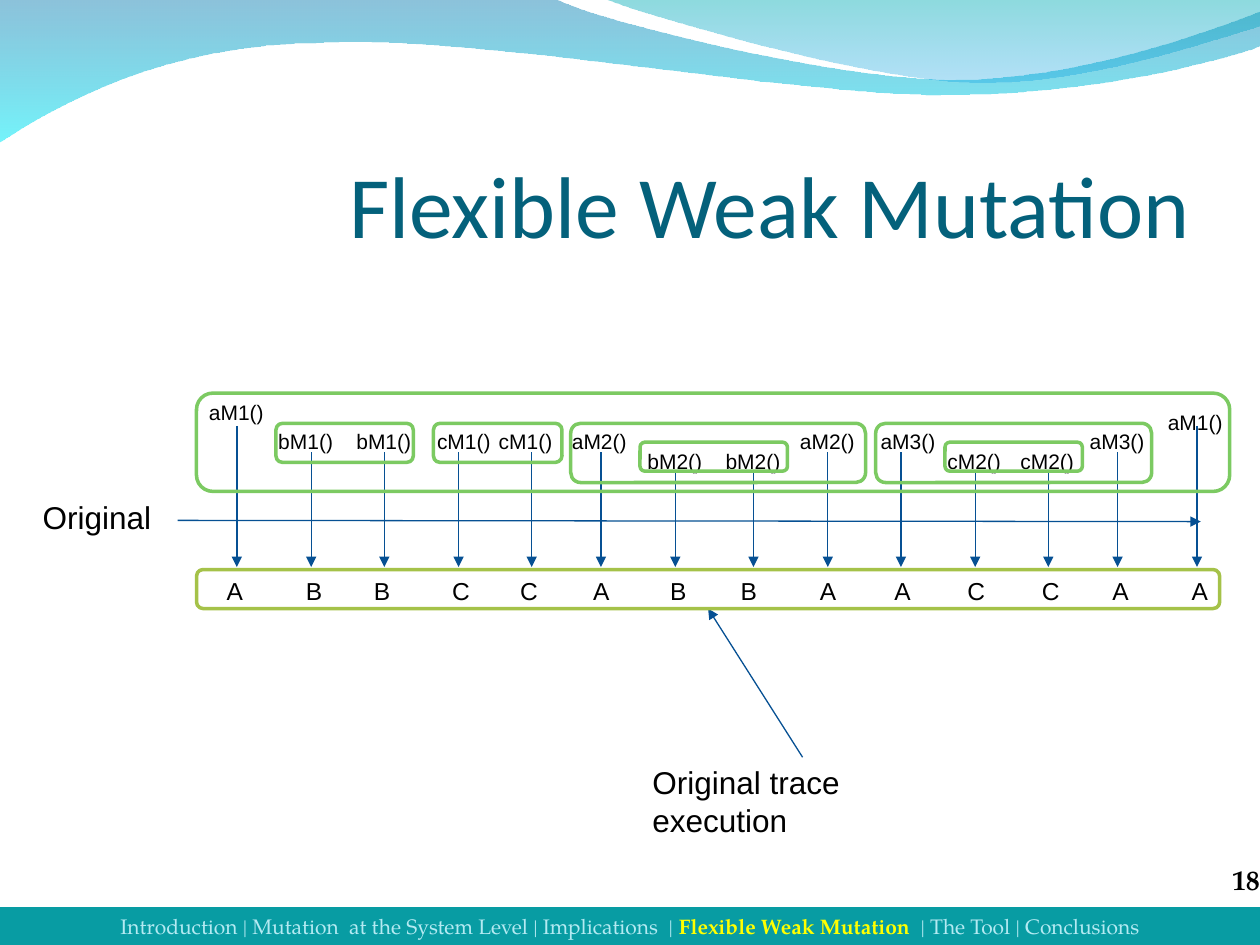
"""Build the Flexible Weak Mutation slide: nested calls above a timeline and its trace."""
from lxml.etree import SubElement
from pptx import Presentation
from pptx.dml.color import RGBColor
from pptx.enum.shapes import MSO_CONNECTOR as Conn, MSO_SHAPE as Kind
from pptx.enum.text import MSO_ANCHOR as Anchor, MSO_AUTO_SIZE as Auto, PP_ALIGN as Align
from pptx.oxml.ns import qn
from pptx.util import Inches, Pt

WIDE, HIGH = 10, 7.5
BLACK = RGBColor(0x00, 0x00, 0x00)
TITLE = RGBColor(0x04, 0x61, 0x7B)
NAVY = RGBColor(0x06, 0x50, 0x93)
GREEN = RGBColor(0x7C, 0xCA, 0x62)
OLIVE = RGBColor(0xA5, 0xC2, 0x49)
TEAL = RGBColor(0x08, 0x9C, 0xA3)
PALE = RGBColor(0xB3, 0xEA, 0xF2)
YELLOW = RGBColor(0xFF, 0xFF, 0x00)
SERIF = "TeX Gyre Pagella"

WAVES = [
    ((0, -0.01),
     [[(4.4, -0.01)],
      [(4.76, 0.17), (6.64, 0.63), (7.58, 0.63)],
      [(8.53, 0.63), (9.58, 0.26), (10, 0.09)], [(10.01, 0.36)],
      [(9.83, 0.44), (8.7, 0.76), (7.46, 0.75)],
      [(6.22, 0.75), (3.82, 0.28), (2.57, 0.34)],
      [(1.29, 0.35), (0.46, 0.83), (-0.01, 1.13)], [(0, -0.01)]],
     [(RGBColor(0x00, 0x79, 0xAF), 45), (RGBColor(0x00, 0xEB, 0xF8), 55)]),
    ((4.79, -0.01),
     [[(5.09, 0.11), (6.82, 0.62), (7.69, 0.65)],
      [(8.56, 0.69), (9.61, 0.32), (10, 0.21)], [(10, 0)], [(4.79, -0.01)]],
     [(RGBColor(0x00, 0xAD, 0xB6), 45), (RGBColor(0x00, 0x9B, 0xE5), 30)]),
]

LABEL_TOP = [3.12, 3.35, 3.51]
ARROW_TOP = [3.38, 3.59, 3.73]
ROW_TOP = 4.52
CALLS = [
    ("aM1()", 0, 1.56, 1.88, 1.70), ("bM1()", 1, 2.11, 2.47, 2.33),
    ("bM1()", 1, 2.73, 3.05, 2.87), ("cM1()", 1, 3.37, 3.64, 3.49),
    ("cM1()", 1, 3.86, 4.22, 4.03), ("aM2()", 1, 4.44, 4.77, 4.61),
    ("bM2()", 2, 5.04, 5.36, 5.22), ("bM2()", 2, 5.66, 5.98, 5.78),
    ("aM2()", 1, 6.25, 6.57, 6.41), ("aM3()", 1, 6.89, 7.15, 7.00),
    ("cM2()", 2, 7.42, 7.74, 7.58), ("cM2()", 2, 8.00, 8.32, 8.17),
    ("aM3()", 1, 8.55, 8.87, 8.73), ("aM1()", 0, 9.17, 9.50, 9.36),
]
LAST_DROP = 0.08
FRAMES = [
    (1.56, 3.12, 8.2, 0.78), (2.19, 3.36, 1.09, 0.31), (3.44, 3.36, 1.02, 0.31),
    (4.53, 3.36, 2.34, 0.47), (6.95, 3.36, 2.19, 0.47),
    (5.08, 3.51, 1.17, 0.23), (7.5, 3.51, 1.09, 0.23),
]
TRACE = (1.56, ROW_TOP, 8.12, 0.31)
LINES = [((1.41, 4.13), (9.53, 4.14)), ((6.37, 6.01), (5.62, 4.83))]
FOOTER = [
    ("Introduction | Mutation  at the System Level | Implications  | ", PALE, False),
    ("Flexible Weak Mutation", YELLOW, True),
    ("  | The Tool | Conclusions", PALE, False),
]


def inch(*nums):
    return [Inches(n) for n in nums]


def write(shape, runs, size, face="Arial", align=Align.LEFT, wrap=False,
          anchor=Anchor.TOP, pads=(0.1, 0.05, 0.1, 0.05), auto=Auto.SHAPE_TO_FIT_TEXT):
    frame = shape.text_frame
    left, top, right, low = inch(*pads)
    form = dict(word_wrap=wrap, auto_size=auto, vertical_anchor=anchor, margin_left=left,
                margin_top=top, margin_right=right, margin_bottom=low)
    for name, value in form.items():
        setattr(frame, name, value)
    para = frame.paragraphs[0]
    para.alignment = align
    for text, tint, bold in runs:
        run = para.add_run()
        run.text = text
        run.font.color.rgb = tint
        for name, value in dict(name=face, size=Pt(size), bold=bold).items():
            setattr(run.font, name, value)


def label(shapes, box, text, size, tint=BLACK, bold=False, **form):
    write(shapes.add_textbox(*inch(*box)), [(text, tint, bold)], size, **form)


def arrow(shapes, start, end):
    line = shapes.add_connector(Conn.STRAIGHT, *inch(*start, *end))
    line.line.color.rgb = NAVY
    line.line.width = Pt(0.75)
    SubElement(line.line._get_or_add_ln(), qn("a:tailEnd"), type="triangle")
    SubElement(line._element.spPr, qn("a:effectLst"))


def outline(shapes, box, tint):
    shape = shapes.add_shape(Kind.ROUNDED_RECTANGLE, *inch(*box))
    shape.shadow.inherit = False
    shape.adjustments[0] = 0.167
    shape.fill.background()
    shape.line.color.rgb = tint
    shape.line.width = Pt(2)


def bend(shape, parts):
    track = next(shape._element.spPr.iter(qn("a:path")))
    nodes = iter(list(track)[1:])
    for part in parts:
        group = [next(nodes) for point in part]
        if len(group) == 3:
            curve = track.makeelement(qn("a:cubicBezTo"))
            group[0].addprevious(curve)
            for node in group:
                curve.append(node[0])
                track.remove(node)


def wave(shapes, start, parts, tints):
    pen = shapes.build_freeform(*inch(*start))
    pen.add_line_segments([inch(*point) for part in parts for point in part], close=True)
    shape = pen.convert_to_shape()
    bend(shape, parts)
    shape.shadow.inherit = False
    shape.line.fill.background()
    shape.fill.gradient()
    shape.fill.gradient_angle = 270
    for stop, (tint, share) in zip(shape.fill.gradient_stops, tints):
        stop.color.rgb = tint
    for node, (tint, share) in zip(shape._element.spPr.iter(qn("a:srgbClr")), tints):
        SubElement(node, qn("a:alpha"), val=str(share * 1000))


def main():
    deck = Presentation()
    deck.slide_width, deck.slide_height = inch(WIDE, HIGH)
    shapes = deck.slides.add_slide(deck.slide_layouts[6]).shapes
    for start, parts, tints in WAVES:
        wave(shapes, start, parts, tints)
    label(shapes, (0.47, 0.78, 8.98, 1.25), "Flexible Weak Mutation", 50, TITLE,
          face="Calibri", align=Align.RIGHT, wrap=True, anchor=Anchor.BOTTOM,
          pads=(0, 0.05, 0, 0), auto=Auto.NONE)
    label(shapes, (0.24, 3.9, 1.06, 0.4), "Original", 18)
    label(shapes, (5.08, 6.01, 2.58, 0.7), "Original trace execution", 18, wrap=True)

    for start, end in LINES:
        arrow(shapes, start, end)
    row = shapes.add_group_shape().shapes
    for spot, (call, level, left, mid, side) in enumerate(CALLS, 1):
        top = LABEL_TOP[level] + (LAST_DROP if spot == len(CALLS) else 0)
        label(shapes, (left, top, 0.65, 0.3), call, 12)
        arrow(shapes, (mid, ARROW_TOP[level]), (mid, 4.5))
        label(row, (side, ROW_TOP, 0.34, 0.34), call[0].upper(), 14)
    outline(row, TRACE, OLIVE)
    for box in FRAMES:
        outline(shapes, box, GREEN)

    band = shapes.add_shape(Kind.RECTANGLE, *inch(0, 7.2, WIDE, 0.3))
    band.shadow.inherit = False
    band.fill.solid()
    band.fill.fore_color.rgb = TEAL
    band.line.fill.background()
    write(band, FOOTER, 12, SERIF, Align.CENTER, wrap=True)
    label(shapes, (9.64, 6.8, 0.36, 0.31), "18", 16, bold=True, face=SERIF,
          align=Align.RIGHT, wrap=True, anchor=Anchor.BOTTOM, pads=(0, 0, 0, 0),
          auto=Auto.NONE)
    deck.save("out.pptx")


if __name__ == "__main__":
    main()
